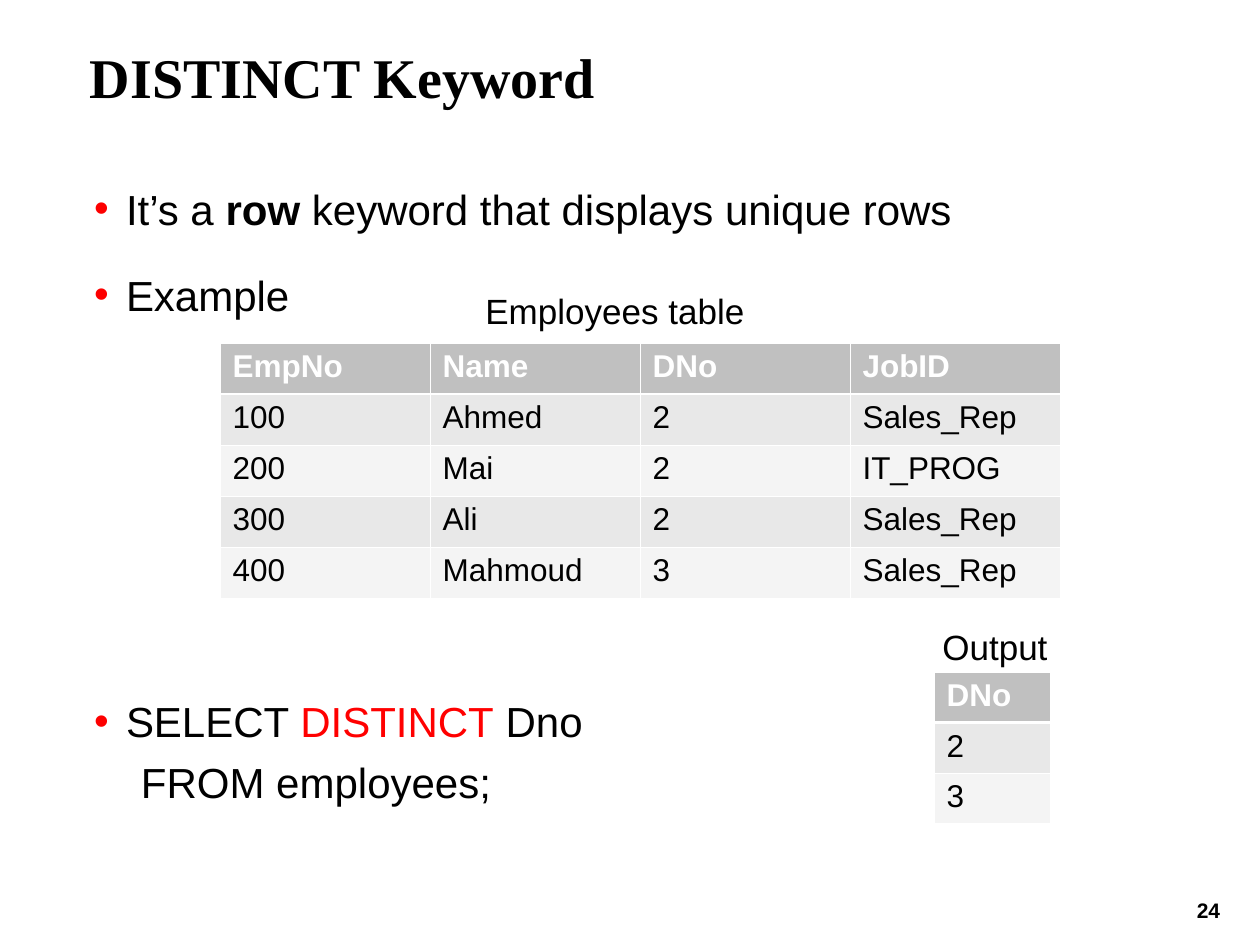
from pptx import Presentation
from pptx.dml.color import RGBColor as Rgb
from pptx.enum.text import MSO_ANCHOR as Anchor, MSO_AUTO_SIZE as Fit, PP_ALIGN as Align
from pptx.oxml.ns import qn
from pptx.util import Emu, Pt
from lxml.etree import SubElement as Sub

SCALE = 914400 / 126
COLORS = {
    "ink": "000000",
    "paper": "FFFFFF",
    "red": "FF0000",
    "dot": "FD0000",
    "head": "C0C0C0",
    "odd": "E8E8E8",
    "even": "F4F4F4",
}
STAFF = [
    ["EmpNo", "Name", "DNo", "JobID"],
    ["100", "Ahmed", "2", "Sales_Rep"],
    ["200", "Mai", "2", "IT_PROG"],
    ["300", "Ali", "2", "Sales_Rep"],
    ["400", "Mahmoud", "3", "Sales_Rep"],
]
OUTPUT = [["DNo"], ["2"], ["3"]]


def px(n):
    return Emu(round(n * SCALE))


def color(name):
    return Rgb.from_string(COLORS[name])


def style(para, size, tint="ink", bold=False, face="Arial"):
    font = para.font
    font.name = face
    font.size = Pt(size)
    font.bold = bold
    font.color.rgb = color(tint)


def flush(frame):
    frame.margin_left = frame.margin_right = 0
    frame.margin_top = frame.margin_bottom = 0


def add_title(slide, text):
    title = slide.shapes.title
    title.left, title.top, title.width, title.height = map(px, (90, 42, 1044, 130))
    frame = title.text_frame
    flush(frame)
    frame.word_wrap = True
    frame.auto_size = Fit.NONE
    frame.vertical_anchor = Anchor.TOP
    para = frame.paragraphs[0]
    para.text = text
    para.alignment = Align.LEFT
    style(para, 32, bold=True, face="Times New Roman")


def add_box(slide, box):
    frame = slide.shapes.add_textbox(*map(px, box)).text_frame
    frame.word_wrap = True
    return frame


def add_label(slide, box, text, size=20, bold=False):
    para = add_box(slide, box).paragraphs[0]
    para.text = text
    style(para, size, bold=bold)
    return para


def indent(para, left, dot):
    props = para._p.get_or_add_pPr()
    props.set("marL", str(px(left)))
    props.set("indent", str(px(-left if dot else 0)))
    if dot:
        tint = Sub(props, qn("a:buClr"))
        Sub(tint, qn("a:srgbClr"), val=COLORS["dot"])
        Sub(props, qn("a:buFont"), typeface="Arial")
        Sub(props, qn("a:buChar"), char="•")
    else:
        Sub(props, qn("a:buNone"))


def add_line(frame, parts, first=False, left=32, dot=True, gap=6, pitch=1):
    para = frame.paragraphs[0] if first else frame.add_paragraph()
    indent(para, left, dot)
    para.line_spacing = pitch
    para.space_before = Pt(0 if first else gap)
    style(para, 24)
    for text, look in parts:
        run = para.add_run()
        run.text = text
        if look == "bold":
            run.font.bold = True
        elif look:
            run.font.color.rgb = color(look)


def add_body(slide):
    frame = add_box(slide, (94, 158, 1038, 661))
    flush(frame)
    intro = [("It’s a ", None), ("row", "bold"), (" keyword that displays unique rows", None)]
    query = [("SELECT ", None), ("DISTINCT", "red"), (" Dno", None)]
    add_line(frame, intro, first=True, pitch=1.5)
    add_line(frame, [("Example", None)], pitch=1.5)
    add_line(frame, query, gap=215)
    add_line(frame, [("FROM employees;", None)], left=47, dot=False)


def add_edge(cell, side, width):
    line = Sub(cell._tc.get_or_add_tcPr(), qn("a:ln" + side), w=str(Pt(width)))
    fill = Sub(line, qn("a:solidFill"))
    Sub(fill, qn("a:srgbClr"), val=COLORS["paper"])


def add_grid(slide, left, top, wide, high, rows):
    cols = len(rows[0])
    size = map(px, (left, top, wide * cols, high * len(rows)))
    table = slide.shapes.add_table(len(rows), cols, *size).table
    for r, row in enumerate(rows):
        table.rows[r].height = px(high)
        for c, text in enumerate(row):
            table.columns[c].width = px(wide)
            cell = table.cell(r, c)
            for side in "LRTB":
                thick = (r, side) in ((0, "B"), (1, "T"))
                add_edge(cell, side, 1.5 if thick else 0.45)
            cell.fill.solid()
            shade = "head" if r == 0 else "odd" if r % 2 else "even"
            cell.fill.fore_color.rgb = color(shade)
            para = cell.text_frame.paragraphs[0]
            para.text = text
            style(para, 18, "ink" if r else "paper", r == 0)


def main():
    deck = Presentation()
    deck.slide_width, deck.slide_height = px(1260), px(945)
    slide = deck.slides.add_slide(deck.slide_layouts[5])
    page = add_label(slide, (1177, 894, 63, 35), "24", 12, True)
    page.alignment = Align.CENTER
    page.line_spacing = 0.9
    add_title(slide, "DISTINCT Keyword")
    add_body(slide)
    add_label(slide, (473, 283, 315, 55), "Employees table")
    add_grid(slide, 934, 672, 116, 50, OUTPUT)
    add_label(slide, (930, 619, 150, 55), "Output")
    add_grid(slide, 220, 343, 210, 51, STAFF)
    deck.save("out.pptx")


if __name__ == "__main__":
    main()
